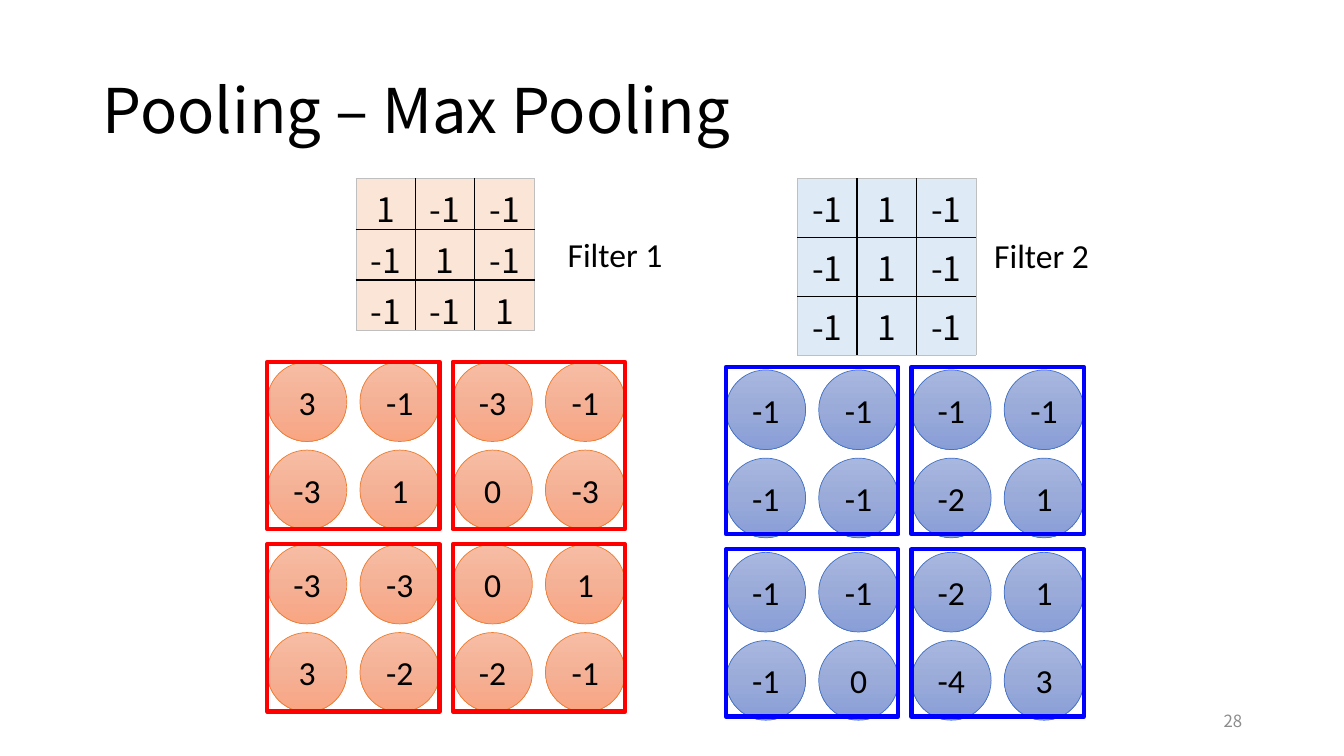
from itertools import product
from lxml.etree import SubElement
from pptx import Presentation
from pptx.dml.color import RGBColor
from pptx.enum.shapes import MSO_SHAPE
from pptx.enum.text import MSO_ANCHOR, PP_ALIGN
from pptx.oxml.ns import qn
from pptx.util import Inches, Pt

BLACK = RGBColor(0x00, 0x00, 0x00)
GRAY = RGBColor(0x8C, 0x8C, 0x8C)
EDGE = RGBColor(0xBF, 0xBF, 0xBF)
RED = RGBColor(0xFF, 0x00, 0x00)
BLUE = RGBColor(0x00, 0x00, 0xFF)
PEACH = RGBColor(0xFB, 0xE5, 0xD6)
SKY = RGBColor(0xDE, 0xEB, 0xF7)
ORANGE_LINE = RGBColor(0xED, 0x7D, 0x31)
BLUE_LINE = RGBColor(0x44, 0x72, 0xC4)
ORANGE_STOPS = [RGBColor(0xF7, 0xBD, 0xA5), RGBColor(0xF5, 0xB1, 0x96), RGBColor(0xF8, 0xA5, 0x82)]
BLUE_STOPS = [RGBColor(0xA8, 0xB7, 0xDF), RGBColor(0x9A, 0xAB, 0xD9), RGBColor(0x88, 0x9E, 0xD7)]
NOTO, CALIBRI = "Noto Sans CJK SC", "Calibri"

FILTER_1 = [[1, -1, -1], [-1, 1, -1], [-1, -1, 1]]
FILTER_2 = [[-1, 1, -1]] * 3
MAP_1 = [[3, -1, -3, -1], [-3, 1, 0, -3], [-3, -3, 0, 1], [3, -2, -2, -1]]
MAP_2 = [[-1, -1, -1, -1], [-1, -1, -2, 1], [-1, -1, -2, 1], [-1, 0, -4, 3]]


def write(tf, text, size=24, font=CALIBRI, color=BLACK, align=PP_ALIGN.CENTER,
          anchor=MSO_ANCHOR.MIDDLE, spacing=None):
    tf.word_wrap = True
    tf.vertical_anchor = anchor
    p = tf.paragraphs[0]
    p.alignment = align
    p.line_spacing = spacing
    r = p.add_run()
    r.text = str(text)
    r.font.size = Pt(size)
    r.font.name = font
    r.font.color.rgb = color


def add_text(s, box, text, **fmt):
    tb = s.shapes.add_textbox(*map(Inches, box))
    write(tb.text_frame, text, **fmt)


def add_title(s, box, text):
    title = s.shapes.title
    title.left, title.top, title.width, title.height = map(Inches, box)
    write(title.text_frame, text, size=44, font=NOTO, align=PP_ALIGN.LEFT, spacing=0.9)


def set_border(cell, side, color, width):
    ln = SubElement(cell._tc.get_or_add_tcPr(), qn(f"a:{side}"), w=str(Pt(width)))
    fill = SubElement(ln, qn("a:solidFill"))
    SubElement(fill, qn("a:srgbClr"), val=str(color))


def add_filter(s, left, top, values, color, row_height, bottom):
    n = len(values)
    size = 0.59
    frame = s.shapes.add_table(n, n, Inches(left), Inches(top),
                               Inches(n * size), Inches(n * row_height))
    table = frame.table
    for i in range(n):
        table.columns[i].width = Inches(size)
        table.rows[i].height = Inches(row_height)
    for i, j in product(range(n), repeat=2):
        cell = table.cell(i, j)
        cell.margin_bottom = Inches(bottom)
        write(cell.text_frame, values[i][j], font=NOTO)
        cell.vertical_anchor = MSO_ANCHOR.TOP
        outer = {"lnL": j == 0, "lnR": j == n - 1, "lnT": i == 0, "lnB": i == n - 1}
        for side, is_outer in outer.items():
            set_border(cell, side, EDGE if is_outer else BLACK, 0.5 if is_outer else 1)
        cell.fill.solid()
        cell.fill.fore_color.rgb = color


def fill_gradient(sp, colors):
    sp.fill.gradient()
    sp.fill.gradient_angle = 270
    stops = sp._element.spPr.find(qn("a:gradFill")).find(qn("a:gsLst"))
    stops.clear()
    for i, color in enumerate(colors):
        gs = SubElement(stops, qn("a:gs"), pos=str(i * 50000))
        SubElement(gs, qn("a:srgbClr"), val=str(color))


def add_outline_shape(s, kind, box, color, width):
    sp = s.shapes.add_shape(kind, *map(Inches, box))
    sp.shadow.inherit = False
    sp.line.color.rgb = color
    sp.line.width = Pt(width)
    return sp


def add_feature_map(s, left, top, values, stops, line, frame_color, drop=0):
    pitch_x, pitch_y, block_y, size = 0.92, 0.875, 1.81, 0.79
    for i, j in product(range(4), repeat=2):
        y = top + drop + i // 2 * block_y + i % 2 * pitch_y
        sp = add_outline_shape(s, MSO_SHAPE.OVAL, (left + j * pitch_x, y, size, size), line, 0.5)
        fill_gradient(sp, stops)
        tf = sp.text_frame
        tf.margin_left = tf.margin_right = 0
        write(tf, values[i][j])
    for i, j in product(range(2), repeat=2):
        box = (left + j * 2 * pitch_x, top + i * block_y, 1.71, 1.66)
        add_outline_shape(s, MSO_SHAPE.RECTANGLE, box, frame_color, 3).fill.background()


def main():
    prs = Presentation()
    prs.slide_width, prs.slide_height = Inches(13.33), Inches(7.5)
    s = prs.slides.add_slide(prs.slide_layouts[5])
    add_title(s, (0.92, 0.4, 11.5, 1.45), "Pooling – Max Pooling")
    add_filter(s, 3.53, 1.77, FILTER_1, PEACH, 0.5, -0.03)
    add_filter(s, 7.91, 1.77, FILTER_2, SKY, 0.58, 0.05)
    add_text(s, (5.31, 2.27, 1.58, 0.5), "Filter 1", anchor=MSO_ANCHOR.TOP)
    add_text(s, (9.54, 2.28, 1.58, 0.5), "Filter 2", anchor=MSO_ANCHOR.TOP)
    add_feature_map(s, 2.65, 3.59, MAP_1, ORANGE_STOPS, ORANGE_LINE, RED)
    add_feature_map(s, 7.2, 3.64, MAP_2, BLUE_STOPS, BLUE_LINE, BLUE, drop=0.03)
    add_text(s, (9.42, 6.95, 3, 0.4), "28", size=12, font=NOTO, color=GRAY, align=PP_ALIGN.RIGHT)
    prs.save("out.pptx")


if __name__ == "__main__":
    main()
